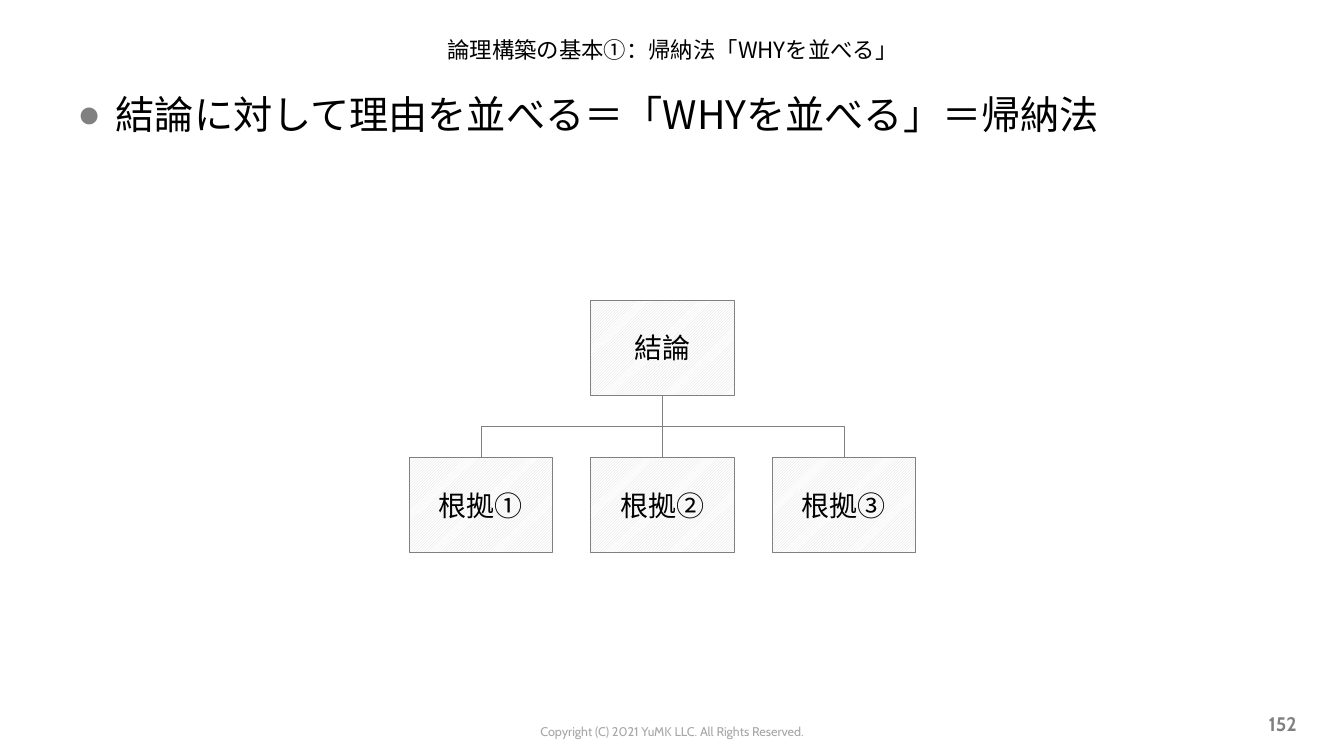
import pptx
import pptx.dml.color
import pptx.enum.dml
import pptx.enum.shapes
import pptx.enum.text
import pptx.oxml
import pptx.oxml.ns
import pptx.util

Inches, Pt = pptx.util.Inches, pptx.util.Pt
RGB = pptx.dml.color.RGBColor.from_string
ALIGN = pptx.enum.text.PP_ALIGN
ANCHOR = pptx.enum.text.MSO_ANCHOR
CONNECTOR = pptx.enum.shapes.MSO_CONNECTOR
COLORS = {"text": "000000", "gray": "808080", "copyright": "A6A6A6",
          "hatch": "D9D9D9", "paper": "FFFFFF"}
JAPANESE, LATIN = "Noto Sans CJK JP", "Cabin"


def write(shape, text, size, font, color, align, anchor=ANCHOR.MIDDLE):
    frame = shape.text_frame
    frame.word_wrap = True
    frame.vertical_anchor = anchor
    paragraph = frame.paragraphs[0]
    paragraph.text = text
    paragraph.alignment = align
    paragraph.space_before = Pt(0)
    paragraph.font.size = Pt(size)
    paragraph.font.name = font
    paragraph.font.color.rgb = RGB(COLORS[color])
    # East Asian characters take their typeface from a:ea
    latin = paragraph._p.pPr.find(".//" + pptx.oxml.ns.qn("a:latin"))
    latin.addnext(pptx.oxml.parse_xml(
        f'<a:ea {pptx.oxml.ns.nsdecls("a")} typeface="{font}"/>'))
    return paragraph


def draw_link(kind, start, end, turn=0):
    link = slide.shapes.add_connector(kind, *map(Inches, start + end))
    link.line.color.rgb = RGB(COLORS["gray"])
    link.line.width = Pt(0.5)
    properties = link._element.spPr
    properties.append(pptx.oxml.parse_xml(
        f'<a:effectLst {pptx.oxml.ns.nsdecls("a")}/>'))
    if turn:
        properties.find(pptx.oxml.ns.qn("a:xfrm")).set("rot", str(turn * 60000))


deck = pptx.Presentation()
deck.slide_width, deck.slide_height = Inches(13.33), Inches(7.5)
slide = deck.slides.add_slide(deck.slide_layouts[5])

# Title
title = slide.shapes.title
title.left, title.top = Inches(0.67), Inches(0.22)
title.width, title.height = Inches(12), Inches(0.54)
write(title, "論理構築の基本①：帰納法「WHYを並べる」", 16, JAPANESE, "text", ALIGN.CENTER)

# Bulleted message
message = slide.shapes.add_textbox(Inches(0.67), Inches(0.85), Inches(12), Inches(1.32))
bullet = message.text_frame.paragraphs[0]._p.get_or_add_pPr()
bullet.set("marL", str(Inches(0.38)))
bullet.set("indent", str(Inches(-0.38)))
for item in (f'<a:buClr {{}}><a:srgbClr val="{COLORS["gray"]}"/></a:buClr>',
             '<a:buFont {} typeface="Arial"/>', '<a:buChar {} char="●"/>'):
    bullet.append(pptx.oxml.parse_xml(item.format(pptx.oxml.ns.nsdecls("a"))))
write(message, "結論に対して理由を並べる＝「WHYを並べる」＝帰納法", 28, JAPANESE, "text",
      ALIGN.LEFT, ANCHOR.TOP)

# Copyright and page number
copyright_line = slide.shapes.add_textbox(Inches(4.2), Inches(7.13), Inches(4.93), Inches(0.25))
write(copyright_line, "Copyright (C) 2021 YuMK LLC. All Rights Reserved.", 9, LATIN,
      "copyright", ALIGN.CENTER, ANCHOR.TOP)
page_number = slide.shapes.add_textbox(Inches(9.85), Inches(6.98), Inches(3.11), Inches(0.4))
write(page_number, "152", 14, LATIN, "gray", ALIGN.RIGHT).font.bold = True

# Conclusion above its three reasons
BOX_W, BOX_H, STEP = 1.42, 0.94, 1.8
CENTER, CONCLUSION_TOP, REASON_TOP = 6.57, 2.98, 4.54
CONCLUSION_BOTTOM = CONCLUSION_TOP + BOX_H
tree = [("結論", CENTER, CONCLUSION_TOP)]
tree += [(f"根拠{mark}", CENTER + (i - 1) * STEP, REASON_TOP) for i, mark in enumerate("①②③")]
for label, middle, top in tree:
    box = slide.shapes.add_shape(pptx.enum.shapes.MSO_SHAPE.RECTANGLE,
                                 Inches(middle - BOX_W / 2), Inches(top),
                                 Inches(BOX_W), Inches(BOX_H))
    box.shadow.inherit = False
    box.fill.patterned()
    box.fill.pattern = pptx.enum.dml.MSO_PATTERN.LIGHT_UPWARD_DIAGONAL
    box.fill.fore_color.rgb = RGB(COLORS["hatch"])
    box.fill.back_color.rgb = RGB(COLORS["paper"])
    box.line.color.rgb = RGB(COLORS["gray"])
    box.line.width = Pt(0.5)
    write(box, label, 20, JAPANESE, "text", ALIGN.CENTER)

# Elbows are laid out on their side, then turned to leave each reason upwards
GAP = REASON_TOP - CONCLUSION_BOTTOM
link_y = CONCLUSION_BOTTOM + GAP / 2
for side, turn in ((-1, 90), (1, 270)):
    link_x = CENTER + side * STEP / 2
    draw_link(CONNECTOR.ELBOW,
              (link_x - side * GAP / 2, link_y + STEP / 2),
              (link_x + side * GAP / 2, link_y - STEP / 2), turn)
draw_link(CONNECTOR.STRAIGHT, (CENTER, CONCLUSION_BOTTOM), (CENTER, REASON_TOP))

deck.save("out.pptx")
